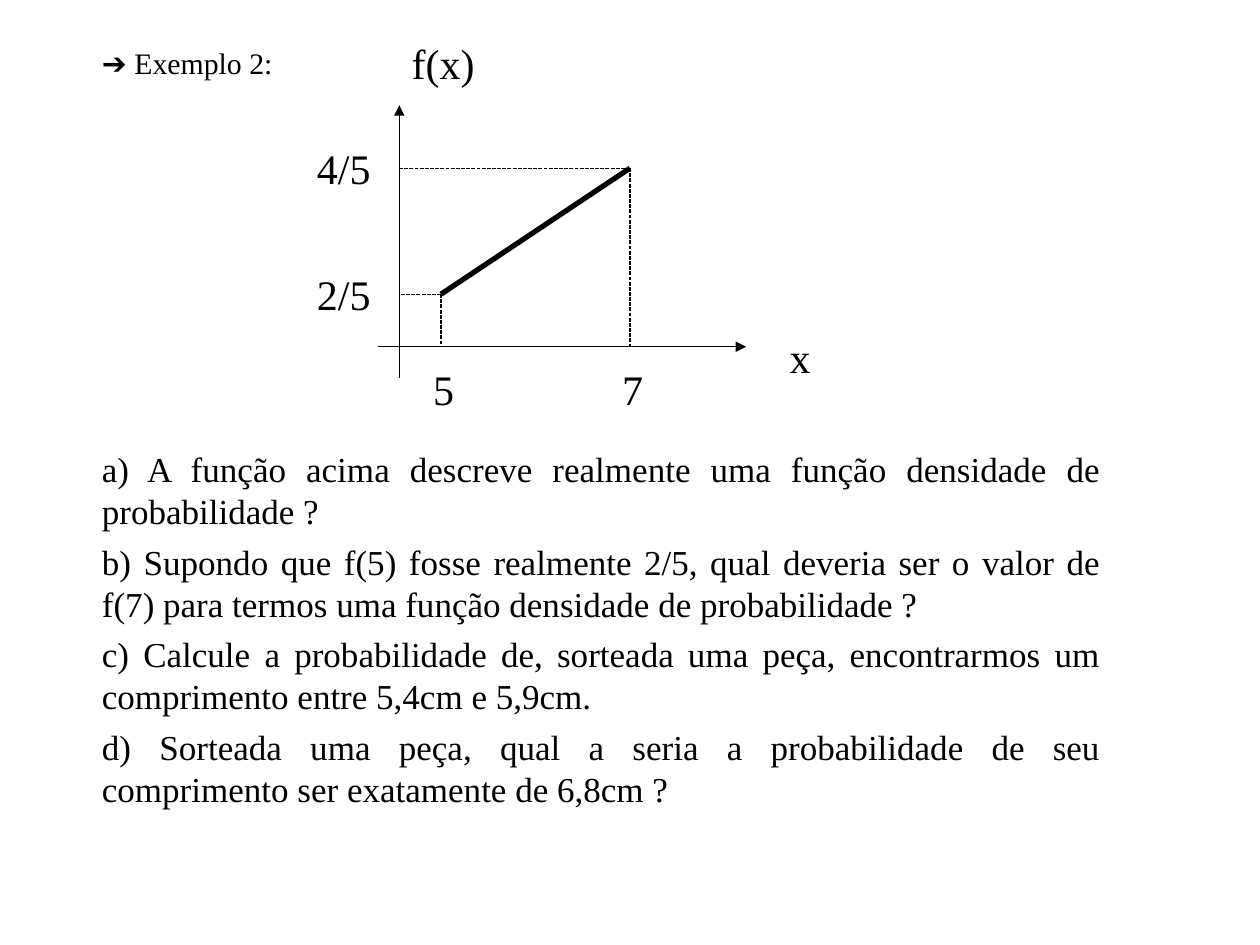
from dataclasses import dataclass

from lxml.etree import SubElement
from pptx import Presentation
from pptx.dml.color import RGBColor
from pptx.enum.dml import MSO_LINE_DASH_STYLE as Dash
from pptx.enum.shapes import MSO_CONNECTOR as Connector
from pptx.enum.text import MSO_ANCHOR as Anchor
from pptx.enum.text import MSO_AUTO_SIZE as AutoSize
from pptx.enum.text import PP_ALIGN as Align
from pptx.oxml.ns import qn
from pptx.util import Cm, Pt


@dataclass(frozen=True)
class Theme:
    ink: RGBColor = RGBColor(0, 0, 0)
    font: str = "Times New Roman"
    symbol_font: str = "Arial"
    heading_size: int = 17
    question_size: int = 20
    label_size: int = 24
    thin: float = 0.75
    thick: float = 3


class SlideBuilder:
    def __init__(self, slide, theme):
        self.slide = slide
        self.theme = theme

    def add_run(self, paragraph, text, size, font=None):
        run = paragraph.add_run()
        run.text = text
        run.font.name = font or self.theme.font
        run.font.size = Pt(size)
        run.font.color.rgb = self.theme.ink

    def fill_placeholder(self, shape, box, paragraphs, size, line_spacing):
        """Write paragraphs, each a list of (text, font) runs, without bullets."""
        shape.left, shape.top, shape.width, shape.height = map(Cm, box)
        frame = shape.text_frame
        frame.auto_size = AutoSize.NONE
        frame.word_wrap = True
        frame.vertical_anchor = Anchor.TOP
        for index, runs in enumerate(paragraphs):
            paragraph = frame.paragraphs[0] if index == 0 else frame.add_paragraph()
            properties = paragraph._p.get_or_add_pPr()
            properties.set("marL", str(Cm(0.95)))
            properties.set("indent", "0")
            SubElement(properties, qn("a:buNone"))
            paragraph.alignment = Align.JUSTIFY
            paragraph.line_spacing = line_spacing
            paragraph.space_before = Pt(5 if index else 0)
            for text, font in runs:
                self.add_run(paragraph, text, size, font)

    def add_label(self, text, left, top, width):
        shape = self.slide.shapes.add_textbox(Cm(left), Cm(top), Cm(width), Cm(1.27))
        frame = shape.text_frame
        frame.word_wrap = False
        frame.auto_size = AutoSize.SHAPE_TO_FIT_TEXT
        self.add_run(frame.paragraphs[0], text, self.theme.label_size)

    def add_line(self, start, end, width, dash=None, arrow=False):
        line = self.slide.shapes.add_connector(
            Connector.STRAIGHT, *map(Cm, (*start, *end)))
        line.line.color.rgb = self.theme.ink
        line.line.width = Pt(width)
        if dash:
            line.line.dash_style = dash
        if arrow:
            SubElement(line.line._get_or_add_ln(), qn("a:tailEnd"), type="triangle")
        SubElement(line._element.spPr, qn("a:effectLst"))


def draw_graph(builder):
    theme = builder.theme
    axis_x, axis_y = 8.05, 6.99
    points = [("5", "2/5", 8.89, 5.93), ("7", "4/5", 12.7, 3.39)]

    builder.add_line((7.62, axis_y), (15.04, axis_y), theme.thin, arrow=True)
    builder.add_line((axis_x, 7.62), (axis_x, 2.12), theme.thin, arrow=True)
    builder.add_line(points[0][2:], points[1][2:], theme.thick)
    for x_text, y_text, x, y in points:
        for foot in ((x, axis_y), (axis_x, y)):
            builder.add_line((x, y), foot, theme.thin, Dash.SQUARE_DOT)
        builder.add_label(y_text, 6.14, y - 0.64, 1.65)
        builder.add_label(x_text, x - 0.41, 7.2, 0.95)
    builder.add_label("x", 15.67, 6.56, 0.95)
    builder.add_label("f(x)", axis_x, 0.64, 1.85)


def main():
    presentation = Presentation()
    presentation.slide_width, presentation.slide_height = Cm(25.4), Cm(19.05)
    slide = presentation.slides.add_slide(presentation.slide_layouts[1])
    theme = Theme()
    builder = SlideBuilder(slide, theme)

    heading = [("➔", theme.symbol_font), (" Exemplo 2:", theme.font)]
    builder.fill_placeholder(slide.shapes.title, (0.85, 0.85, 21.59, 1.06),
                             [heading], theme.heading_size, 0.9)
    draw_graph(builder)
    questions = [
        "a) A função acima descreve realmente uma função densidade de probabilidade ?",
        "b) Supondo que f(5) fosse realmente 2/5, qual deveria ser o valor de f(7) "
        "para termos uma função densidade de probabilidade ?",
        "c) Calcule a probabilidade de, sorteada uma peça, encontrarmos um "
        "comprimento entre 5,4cm e 5,9cm.",
        "d) Sorteada uma peça, qual a seria a probabilidade de seu comprimento "
        "ser exatamente de 6,8cm ?",
    ]
    builder.fill_placeholder(slide.placeholders[1], (0.85, 8.89, 21.59, 8.68),
                             [[(question, theme.font)] for question in questions],
                             theme.question_size, 1.0)
    presentation.save("out.pptx")


if __name__ == "__main__":
    main()
